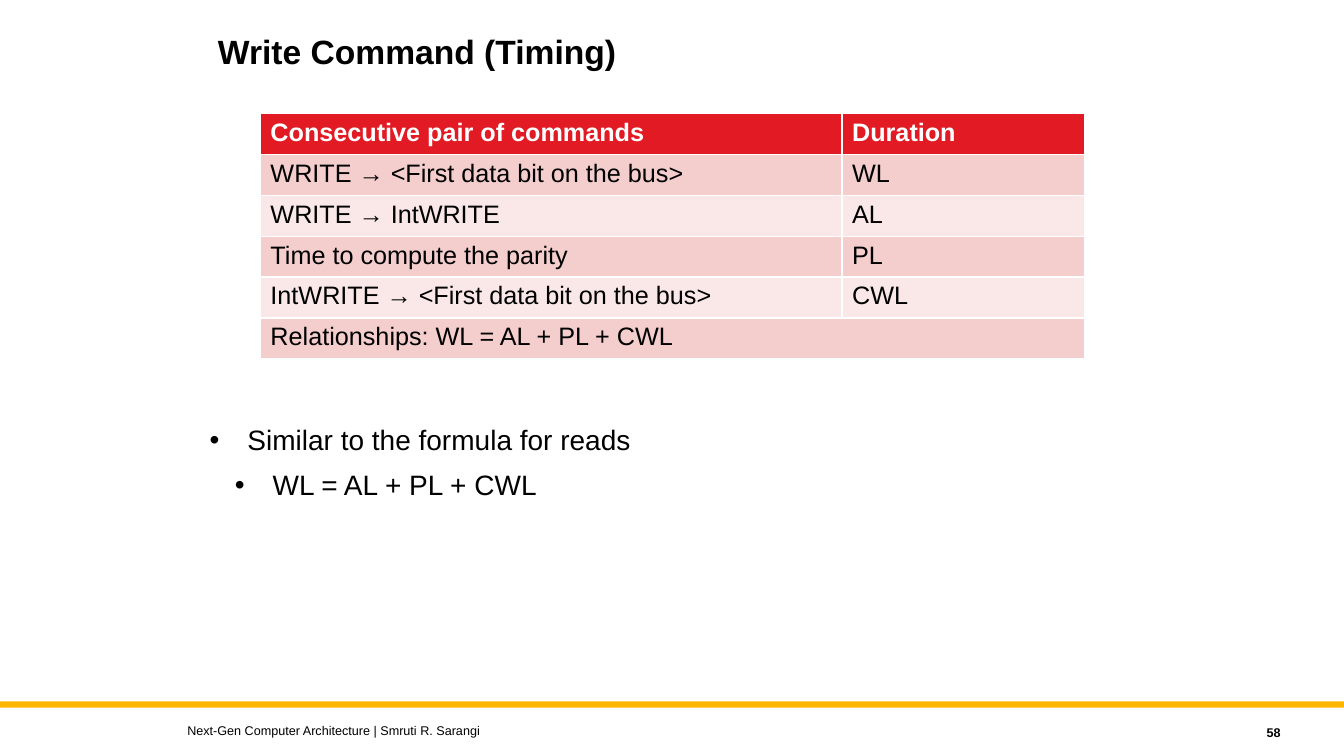
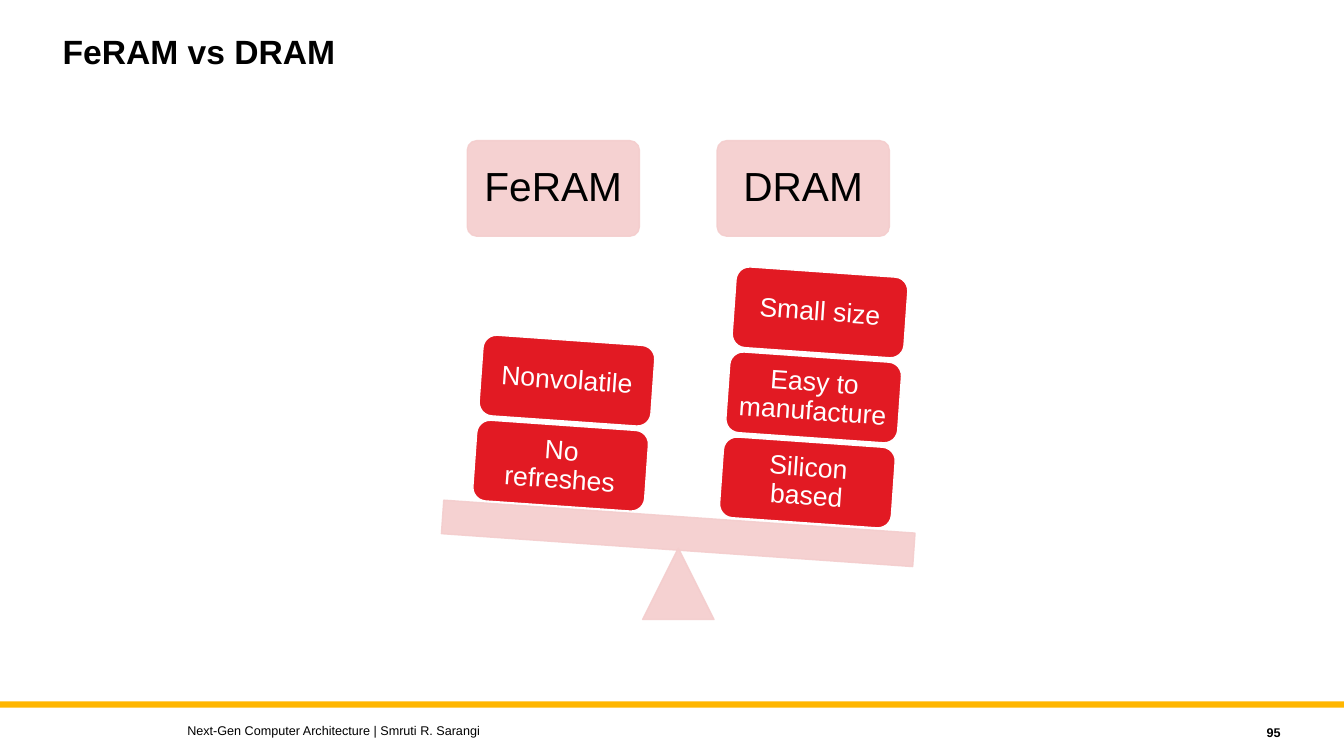
from pptx import Presentation
from pptx.dml.color import RGBColor
from pptx.enum.shapes import MSO_SHAPE
from pptx.enum.text import MSO_ANCHOR, PP_ALIGN
from pptx.oxml.ns import qn
from pptx.oxml.xmlchemy import OxmlElement
from pptx.util import Pt

RECTANGLE = MSO_SHAPE.RECTANGLE
ROUNDED = MSO_SHAPE.ROUNDED_RECTANGLE
TRIANGLE = MSO_SHAPE.ISOSCELES_TRIANGLE
TOP, MIDDLE = MSO_ANCHOR.TOP, MSO_ANCHOR.MIDDLE
LEFT, CENTER, RIGHT = PP_ALIGN.LEFT, PP_ALIGN.CENTER, PP_ALIGN.RIGHT

EMU_PER_PX = 9525
TITLE_AND_CONTENT, TITLE_ONLY = 1, 5
FONT = "Arial"
BLACK, WHITE = "000000", "FFFFFF"
RED, PINK, PALE_PINK, AMBER = "E21A23", "F4CDCD", "FAE8E8", "FFB600"
FOOTER = "Next-Gen Computer Architecture | Smruti R. Sarangi"


def px(length):
    """Turn pixels into EMU."""
    return length * EMU_PER_PX


def rgb(code):
    """Turn a hex string into a colour."""
    return RGBColor.from_string(code)


class Deck:
    """Holds the shared style and the slide being built."""

    def __init__(self):
        """Start an empty widescreen presentation."""
        self.presentation = Presentation()
        self.presentation.slide_width = px(1280)
        self.presentation.slide_height = px(720)
        self.slide = None

    def place(self, shape, left, top, width, height):
        """Move and size a shape."""
        shape.left, shape.top = px(left), px(top)
        shape.width, shape.height = px(width), px(height)

    def style(self, paragraph, size, color=BLACK, bold=False, align=LEFT):
        """Format a whole paragraph."""
        paragraph.alignment = align
        paragraph.font.name = FONT
        paragraph.font.size = Pt(size)
        paragraph.font.bold = bold
        paragraph.font.color.rgb = rgb(color)

    def new_slide(self, layout, title, title_left, number):
        """Add a slide with its title, band and footer."""
        layouts = self.presentation.slide_layouts
        self.slide = self.presentation.slides.add_slide(layouts[layout])
        self.shape(RECTANGLE, 0, 668, 1280, 6, AMBER)
        self.text(FOOTER, 169, 684, 768, 24, 9)
        self.text(number, 1095, 686, 134, 24, 9, bold=True, align=RIGHT)
        heading = self.slide.shapes.title
        self.place(heading, title_left, 29, 960, 86)
        heading.text_frame.text = title
        heading.text_frame.vertical_anchor = TOP
        paragraph = heading.text_frame.paragraphs[0]
        paragraph.line_spacing = 0.9
        self.style(paragraph, 24, bold=True)

    def text(self, text, left, top, width, height, size, **style):
        """Add a one-line text box."""
        box = self.slide.shapes.add_textbox(px(left), px(top), px(width), px(height))
        frame = box.text_frame
        frame.word_wrap = True
        frame.vertical_anchor = MIDDLE
        frame.text = text
        self.style(frame.paragraphs[0], size, **style)

    def shape(self, kind, left, top, width, height, fill, line=None, opacity=100):
        """Add a filled preset shape."""
        shape = self.slide.shapes.add_shape(
            kind, px(left), px(top), px(width), px(height))
        shape.shadow.inherit = False
        shape.fill.solid()
        shape.fill.fore_color.rgb = rgb(fill)
        if line:
            shape.line.color.rgb = rgb(line)
            shape.line.width = Pt(1)
        else:
            shape.line.fill.background()
        if opacity < 100:
            for color in list(shape.element.spPr.iter(qn("a:srgbClr"))):
                alpha = OxmlElement("a:alpha")
                alpha.set("val", str(opacity * 1000))
                color.append(alpha)
        return shape

    def pale_shape(self, kind, left, top, width, height):
        """Add a translucent pink shape."""
        return self.shape(kind, left, top, width, height, PINK, PINK, 90)

    def label(self, shape, text, size, color, inset):
        """Write centred text inside a shape."""
        frame = shape.text_frame
        frame.word_wrap = True
        frame.vertical_anchor = MIDDLE
        frame.margin_left = frame.margin_right = px(inset)
        frame.margin_top = frame.margin_bottom = px(inset)
        frame.text = text
        paragraph = frame.paragraphs[0]
        paragraph.line_spacing = 0.9
        self.style(paragraph, size, color, align=CENTER)

    def heading_box(self, text, left):
        """Add the box that names one side of the scale."""
        shape = self.pale_shape(ROUNDED, left, 134, 164, 91)
        shape.adjustments[0] = 0.1
        self.label(shape, text, 29, BLACK, 12)

    def stack(self, names, left, top, tilt):
        """Pile tilted tiles upwards from the beam."""
        for tier, name in enumerate(names):
            tile = self.shape(ROUNDED, left + 6 * tier, top - 81 * tier,
                              164, 77, RED, WHITE)
            tile.rotation = tilt
            self.label(tile, name, 19, WHITE, 7)

    def bullets(self, items, left, top, width, height):
        """Fill the body placeholder with (level, text) items."""
        body = self.slide.placeholders[1]
        self.place(body, left, top, width, height)
        frame = body.text_frame
        for index, (level, text) in enumerate(items):
            paragraph = frame.add_paragraph() if index else frame.paragraphs[0]
            paragraph.text = text
            paragraph.level = level
            properties = paragraph._p.get_or_add_pPr()
            properties.set("marL", str(px(36 + 24 * level)))
            properties.set("indent", str(px(-36)))
            for tag, name, value in (("a:buFont", "typeface", FONT),
                                     ("a:buChar", "char", "•")):
                bullet = OxmlElement(tag)
                bullet.set(name, value)
                properties.append(bullet)
            paragraph.space_before = Pt(8 if index else 0)
            self.style(paragraph, 20)

    def table(self, rows, left, top, widths, row_height):
        """Add a banded table; a row with one entry spans all columns."""
        table = self.slide.shapes.add_table(
            len(rows), len(widths), px(left), px(top),
            px(sum(widths)), px(row_height * len(rows))).table
        for column, width in zip(table.columns, widths):
            column.width = px(width)
        for row_index, row in enumerate(rows):
            header = row_index == 0
            fill = RED if header else (PALE_PINK, PINK)[row_index % 2]
            for cell in table.rows[row_index].cells:
                cell.fill.solid()
                cell.fill.fore_color.rgb = rgb(fill)
            if len(row) == 1:
                table.cell(row_index, 0).merge(
                    table.cell(row_index, len(widths) - 1))
            for column_index, text in enumerate(row):
                frame = table.cell(row_index, column_index).text_frame
                frame.text = text
                self.style(frame.paragraphs[0], 18, WHITE if header else BLACK, header)


def write_timing(deck):
    """Build the write timing slide."""
    deck.new_slide(TITLE_AND_CONTENT, "Write Command (Timing)", 198, "58")
    deck.table([
        ("Consecutive pair of commands", "Duration"),
        ("WRITE → <First data bit on the bus>", "WL"),
        ("WRITE → IntWRITE", "AL"),
        ("Time to compute the parity", "PL"),
        ("IntWRITE → <First data bit on the bus>", "CWL"),
        ("Relationships: WL = AL + PL + CWL",),
    ], 248, 108, (554, 231), 39)
    deck.bullets([
        (0, "Similar to the formula for reads"),
        (1, "WL = AL + PL + CWL"),
    ], 190, 398, 962, 226)


def memory_balance(deck):
    """Build the slide that weighs the two memories."""
    tilt = 4
    deck.new_slide(TITLE_ONLY, "FeRAM vs DRAM", 50, "95")
    deck.heading_box("FeRAM", 445)
    deck.heading_box("DRAM", 683)
    deck.pale_shape(TRIANGLE, 612, 522, 68, 68)
    beam = deck.pale_shape(RECTANGLE, 421, 492, 450, 32)
    beam.rotation = tilt
    deck.stack(("Silicon based", "Easy to manufacture", "Small size"), 687, 421, tilt)
    deck.stack(("No refreshes", "Nonvolatile"), 452, 405, tilt)


def main():
    """Build and save the presentation."""
    deck = Deck()
    write_timing(deck)
    memory_balance(deck)
    deck.presentation.save("out.pptx")


if __name__ == "__main__":
    main()
